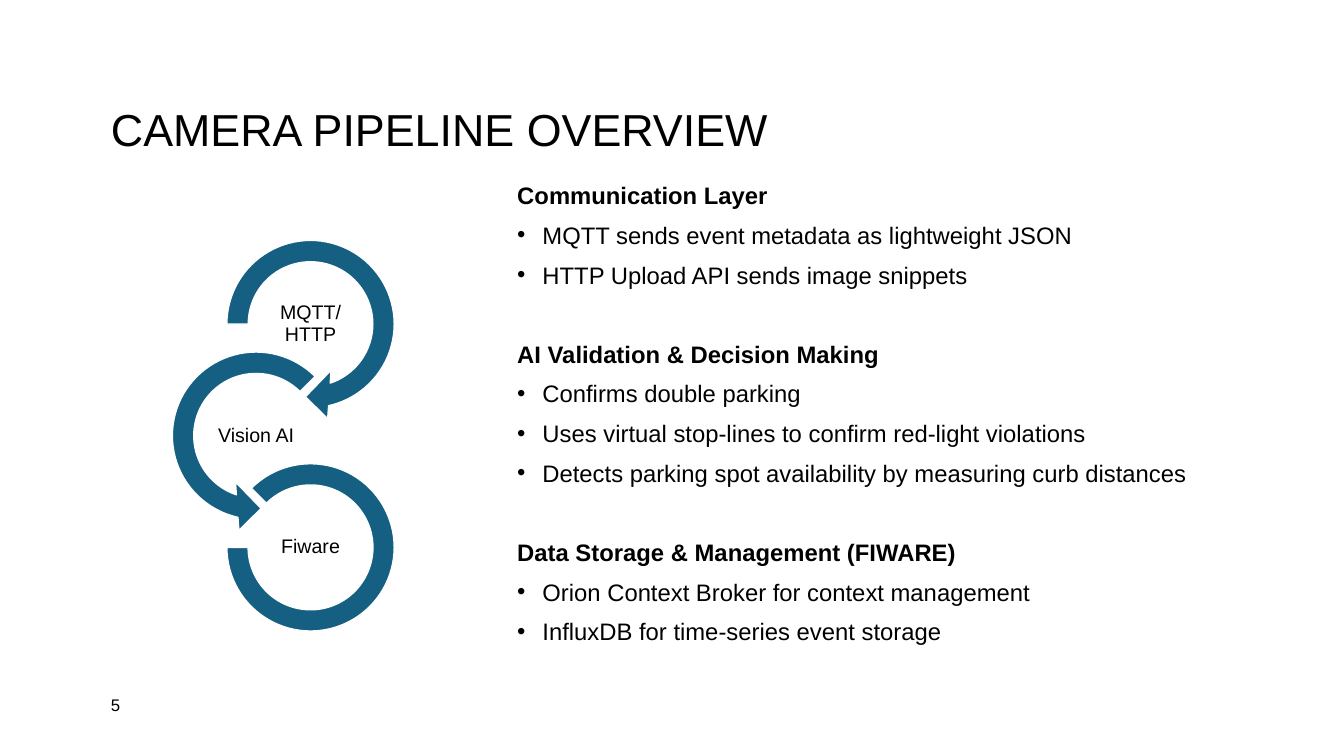
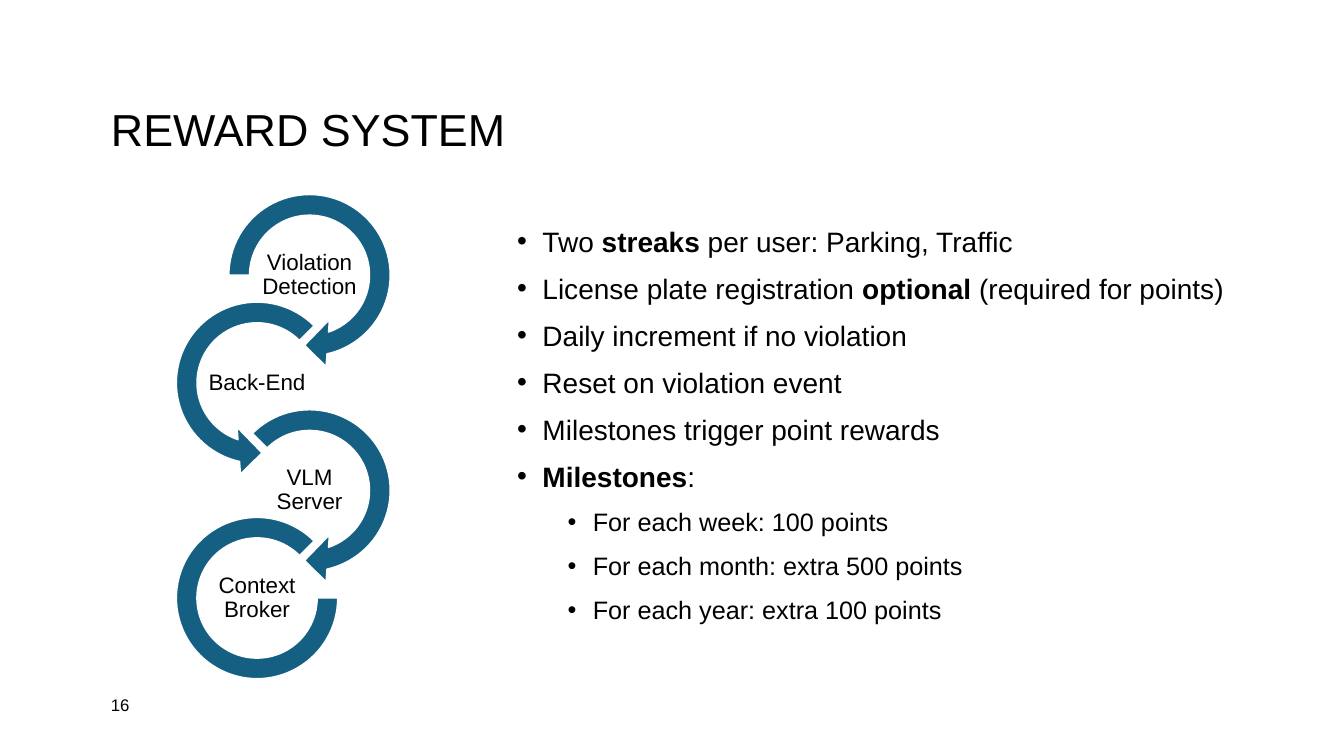
from dataclasses import dataclass

from lxml.etree import SubElement
from pptx import Presentation
from pptx.dml.color import RGBColor
from pptx.enum.shapes import MSO_SHAPE
from pptx.enum.text import MSO_ANCHOR, MSO_AUTO_SIZE, PP_ALIGN
from pptx.oxml.ns import qn
from pptx.util import Inches, Pt


@dataclass(frozen=True)
class Theme:
    font: str = "Arial"
    ink: RGBColor = RGBColor(0, 0, 0)
    paper: RGBColor = RGBColor(255, 255, 255)
    accent: RGBColor = RGBColor(0x15, 0x60, 0x82)
    title_size: int = 32
    number_size: int = 12
    title_spacing: float = 0.9
    paragraph_gap: int = 12
    section_gap: float = 28.3


HEADING, BULLET, SUB_BULLET = range(3)


class Deck:
    def __init__(self, theme):
        self.theme = theme
        self.presentation = Presentation()
        self.presentation.slide_width = Inches(13.33)
        self.presentation.slide_height = Inches(7.5)
        self.slide = None

    def add_slide(self, title, number):
        layout = self.presentation.slide_layouts[1]
        self.slide = self.presentation.slides.add_slide(layout)
        shape = self.slide.shapes.title
        self.place(shape, 1, 0.4, 11.42, 1.81)
        self.set_text(shape.text_frame, title, self.theme.title_size)
        shape.text_frame.paragraphs[0].line_spacing = self.theme.title_spacing
        shape = self.slide.shapes.add_textbox(
            Inches(1), Inches(6.83), Inches(0.69), Inches(0.32)
        )
        self.set_text(shape.text_frame, str(number), self.theme.number_size)

    def place(self, shape, left, top, width, height):
        shape.left, shape.top = Inches(left), Inches(top)
        shape.width, shape.height = Inches(width), Inches(height)

    def style_run(self, run, size, bold=False):
        run.font.name = self.theme.font
        run.font.size = Pt(size)
        run.font.bold = bold
        run.font.color.rgb = self.theme.ink

    def set_text(self, text_frame, text, size, alignment=PP_ALIGN.LEFT):
        text_frame.text = text
        text_frame.word_wrap = True
        text_frame.auto_size = MSO_AUTO_SIZE.NONE
        text_frame.vertical_anchor = MSO_ANCHOR.MIDDLE
        paragraph = text_frame.paragraphs[0]
        paragraph.alignment = alignment
        self.style_run(paragraph.runs[0], size)

    def set_bullet(self, paragraph, level):
        properties = paragraph._p.get_or_add_pPr()
        if level == HEADING:
            properties.set("marL", "0")
            properties.set("indent", "0")
            SubElement(properties, qn("a:buNone"))
            return
        paragraph.level = level - BULLET
        properties.set("marL", str(Inches(0.25 + 0.5 * paragraph.level)))
        properties.set("indent", str(Inches(-0.25)))
        SubElement(properties, qn("a:buFont")).set("typeface", self.theme.font)
        SubElement(properties, qn("a:buChar")).set("char", "•")

    def add_body(self, top, height, items, sizes, line_spacing):
        shape = self.slide.placeholders[1]
        self.place(shape, 5.03, top, 7.38, height)
        text_frame = shape.text_frame
        text_frame.word_wrap = True
        text_frame.auto_size = MSO_AUTO_SIZE.NONE
        text_frame.vertical_anchor = MSO_ANCHOR.TOP
        for index, (level, text) in enumerate(items):
            paragraph = text_frame.add_paragraph() if index else text_frame.paragraphs[0]
            self.set_bullet(paragraph, level)
            new_section = index > 0 and level == HEADING
            paragraph.space_before = Pt(self.theme.section_gap if new_section else 0)
            paragraph.space_after = Pt(self.theme.paragraph_gap)
            paragraph.line_spacing = line_spacing
            for part_index, part in enumerate(text.split("*")):
                if part:
                    run = paragraph.add_run()
                    run.text = part
                    self.style_run(run, sizes[level], part_index % 2 == 1)

    def add_ring(self, group, kind, center_x, center_y, size, adjustments):
        shape = group.shapes.add_shape(
            kind, Inches(center_x - size / 2), Inches(center_y - size / 2),
            Inches(size), Inches(size),
        )
        for index, value in enumerate(adjustments):
            shape.adjustments[index] = value
        shape.shadow.inherit = False
        shape.fill.solid()
        shape.fill.fore_color.rgb = self.theme.accent
        shape.line.color.rgb = self.theme.paper
        shape.line.width = Pt(1)

    def add_ring_label(self, group, text, center_x, center_y, ring_size, text_size):
        width, height = ring_size * 0.555, ring_size * 0.28
        shape = group.shapes.add_textbox(
            Inches(center_x - width / 2), Inches(center_y - height / 2),
            Inches(width), Inches(height),
        )
        text_frame = shape.text_frame
        text_frame.margin_left = text_frame.margin_right = Inches(0.01)
        text_frame.margin_top = text_frame.margin_bottom = Inches(0.01)
        self.set_text(text_frame, text, text_size, PP_ALIGN.CENTER)
        text_frame.paragraphs[0].line_spacing = 0.9

    def add_ring_chain(self, labels, top, size, text_size):
        group = self.slide.shapes.add_group_shape()
        last = len(labels) - 1
        for index, label in enumerate(labels):
            on_right = index % 2 == 0
            center_x = 2.81 + (0.14 if on_right else -0.14) * size
            center_y = top + size / 2 + index * size * 0.574
            if index == last:
                angles = (135, 108) if on_right else (0, 189)
                self.add_ring(group, MSO_SHAPE.BLOCK_ARC, center_x, center_y,
                              size * 0.86, (*angles, 0.127))
            else:
                if on_right:
                    kind = MSO_SHAPE.CIRCULAR_ARROW
                    angles = (45, 135 if index else 108)
                else:
                    kind = MSO_SHAPE.LEFT_CIRCULAR_ARROW
                    angles = (63, 189)
                self.add_ring(group, kind, center_x, center_y, size,
                              (0.11, 11.423, *angles, 0.125))
            self.add_ring_label(group, label, center_x, center_y, size, text_size)


def main():
    deck = Deck(Theme())

    deck.add_slide("CAMERA PIPELINE OVERVIEW", 5)
    deck.add_ring_chain(["MQTT/HTTP", "Vision AI", "Fiware"], 2.25, 1.93, 14)
    deck.add_body(1.8, 4.92, [
        (HEADING, "*Communication Layer*"),
        (BULLET, "MQTT sends event metadata as lightweight JSON"),
        (BULLET, "HTTP Upload API sends image snippets"),
        (HEADING, "*AI Validation & Decision Making*"),
        (BULLET, "Confirms double parking"),
        (BULLET, "Uses virtual stop-lines to confirm red-light violations"),
        (BULLET, "Detects parking spot availability by measuring curb distances"),
        (HEADING, "*Data Storage & Management (FIWARE)*"),
        (BULLET, "Orion Context Broker for context management"),
        (BULLET, "InfluxDB for time-series event storage"),
    ], {HEADING: 17, BULLET: 17}, 0.8)

    deck.add_slide("REWARD SYSTEM", 16)
    deck.add_ring_chain(
        ["Violation Detection", "Back-End", "VLM Server", "Context Broker"],
        1.8, 1.86, 16,
    )
    deck.add_body(2.21, 4.1, [
        (BULLET, "Two *streaks* per user: Parking, Traffic"),
        (BULLET, "License plate registration *optional* (required for points)"),
        (BULLET, "Daily increment if no violation"),
        (BULLET, "Reset on violation event"),
        (BULLET, "Milestones trigger point rewards"),
        (BULLET, "*Milestones*:"),
        (SUB_BULLET, "For each week: 100 points"),
        (SUB_BULLET, "For each month: extra 500 points"),
        (SUB_BULLET, "For each year: extra 100 points"),
    ], {BULLET: 20, SUB_BULLET: 18}, 0.9)

    deck.presentation.save("out.pptx")


if __name__ == "__main__":
    main()
